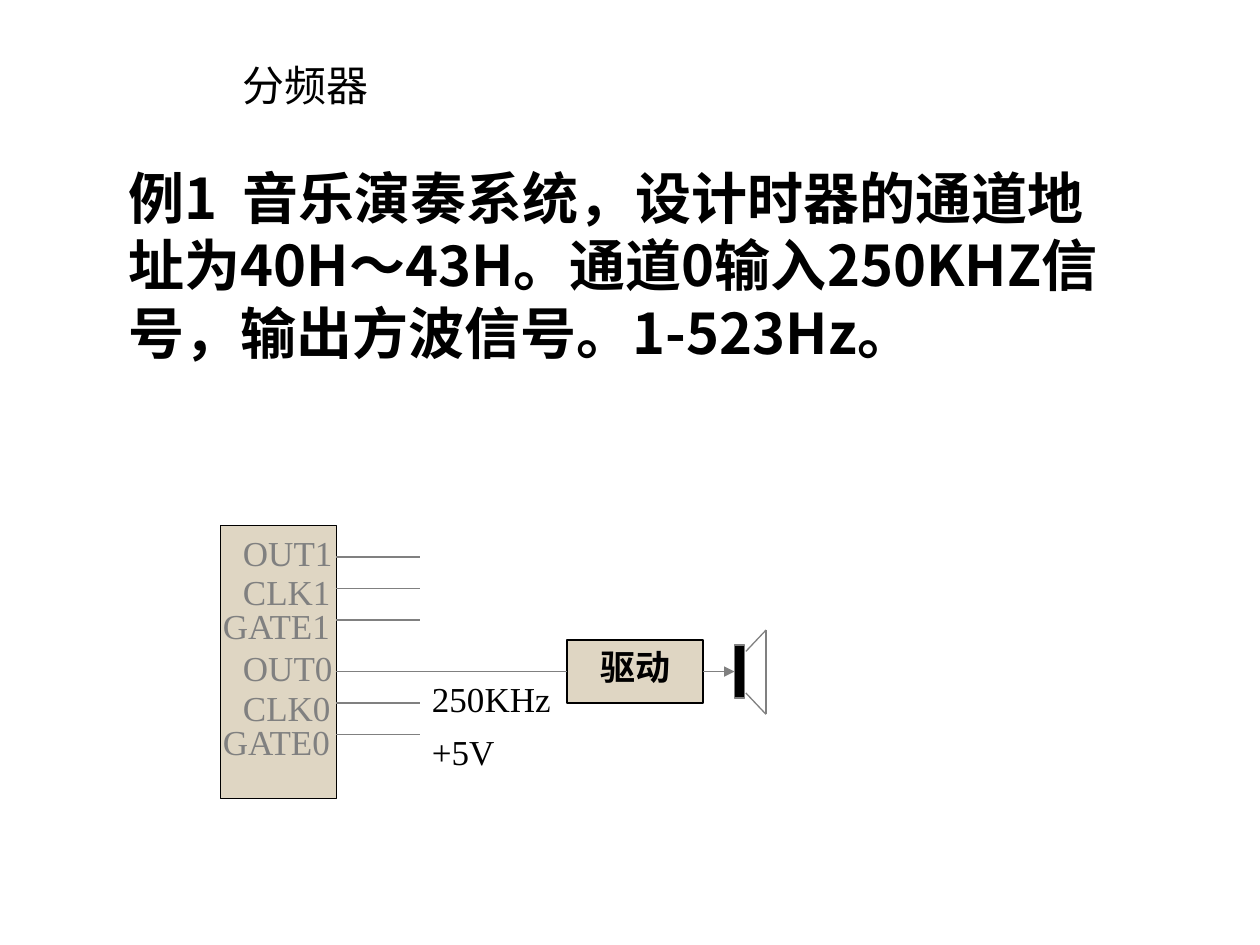
"""Build the frequency divider slide: a timer channel driving a speaker."""
from lxml.etree import SubElement
from pptx import Presentation
from pptx.dml.color import RGBColor
from pptx.enum.shapes import MSO_CONNECTOR, MSO_SHAPE
from pptx.oxml.ns import qn
from pptx.util import Inches, Pt

COLORS = {"ink": "000000", "gray": "808080", "sand": "DFD6C3"}
SANS = "Noto Sans CJK SC"
SERIF = "Times New Roman"

deck = Presentation()
deck.slide_width, deck.slide_height = Inches(10), Inches(7.5)
page = deck.slides.add_slide(deck.slide_layouts[6])


def add_text(text, left, top, width, height, size=20, color="ink", font=SERIF, bold=False):
    box = page.shapes.add_textbox(Inches(left), Inches(top), Inches(width), Inches(height))
    box.text_frame.word_wrap = True
    para = box.text_frame.paragraphs[0]
    span = para.add_run()
    span.text = text
    span.font.size = Pt(size)
    span.font.name = font
    span.font.bold = bold
    span.font.color.rgb = RGBColor.from_string(COLORS[color])
    SubElement(span.font._element, qn("a:ea"), typeface=SANS)
    return para


def add_line(left, top, right, bottom):
    line = page.shapes.add_connector(
        MSO_CONNECTOR.STRAIGHT, Inches(left), Inches(top), Inches(right), Inches(bottom))
    line.line.color.rgb = RGBColor.from_string(COLORS["gray"])
    line.line.width = Pt(0.75)
    SubElement(line._element.spPr, qn("a:effectLst"))
    return line


example = add_text("例1  音乐演奏系统，设计时器的通道地址为40H～43H。通道0输入250KHZ信号，输出方波信号。1-523Hz。",
                   0.92, 1.25, 8.2, 1.7, size=32, font=SANS, bold=True)
example.line_spacing = Pt(38.4)

blocks = {}
for name, left, top, width, height, fill, outline in [
    ("chip", 1.75, 4.17, 0.92, 2.17, "sand", "ink"),
    ("driver", 4.5, 5.08, 1.08, 0.5, "sand", "ink"),
    ("speaker", 5.83, 5.12, 0.08, 0.42, "ink", "gray"),
]:
    block = page.shapes.add_shape(
        MSO_SHAPE.RECTANGLE, Inches(left), Inches(top), Inches(width), Inches(height))
    block.shadow.inherit = False
    block.fill.solid()
    block.fill.fore_color.rgb = RGBColor.from_string(COLORS[fill])
    block.line.color.rgb = RGBColor.from_string(COLORS[outline])
    block.line.width = Pt(0.75)
    blocks[name] = block

for label, left, top in [
    ("OUT1", 1.83, 4.17), ("CLK1", 1.83, 4.48), ("GATE1", 1.67, 4.75),
    ("OUT0", 1.83, 5.08), ("CLK0", 1.83, 5.4), ("GATE0", 1.67, 5.67),
]:
    add_text(label, left, top, 1.67, 0.43, color="gray")

for pin_top in (4.42, 4.67, 4.92, 5.58, 5.83):
    add_line(2.67, pin_top, 3.33, pin_top)

output = add_line(2.67, 5.33, 4.5, 5.33)
output.end_connect(blocks["driver"], 1)

drive = add_line(5.58, 5.33, 5.83, 5.33)
drive.begin_connect(blocks["driver"], 3)
drive.end_connect(blocks["speaker"], 1)
SubElement(drive.line._get_or_add_ln(), qn("a:tailEnd"), type="triangle")

horn = [(5.92, 5.17), (6.08, 5), (6.08, 5.67), (5.92, 5.5)]
for start, end in zip(horn, horn[1:]):
    add_line(*start, *end)

add_text("250KHz", 3.33, 5.33, 1.25, 0.43)
add_text("+5V", 3.33, 5.75, 0.83, 0.43)
add_text("驱动", 4.67, 5.07, 0.92, 0.43, bold=True)
add_text("分频器", 1.83, 0.42, 1.33, 0.5, size=24)

deck.save("out.pptx")
